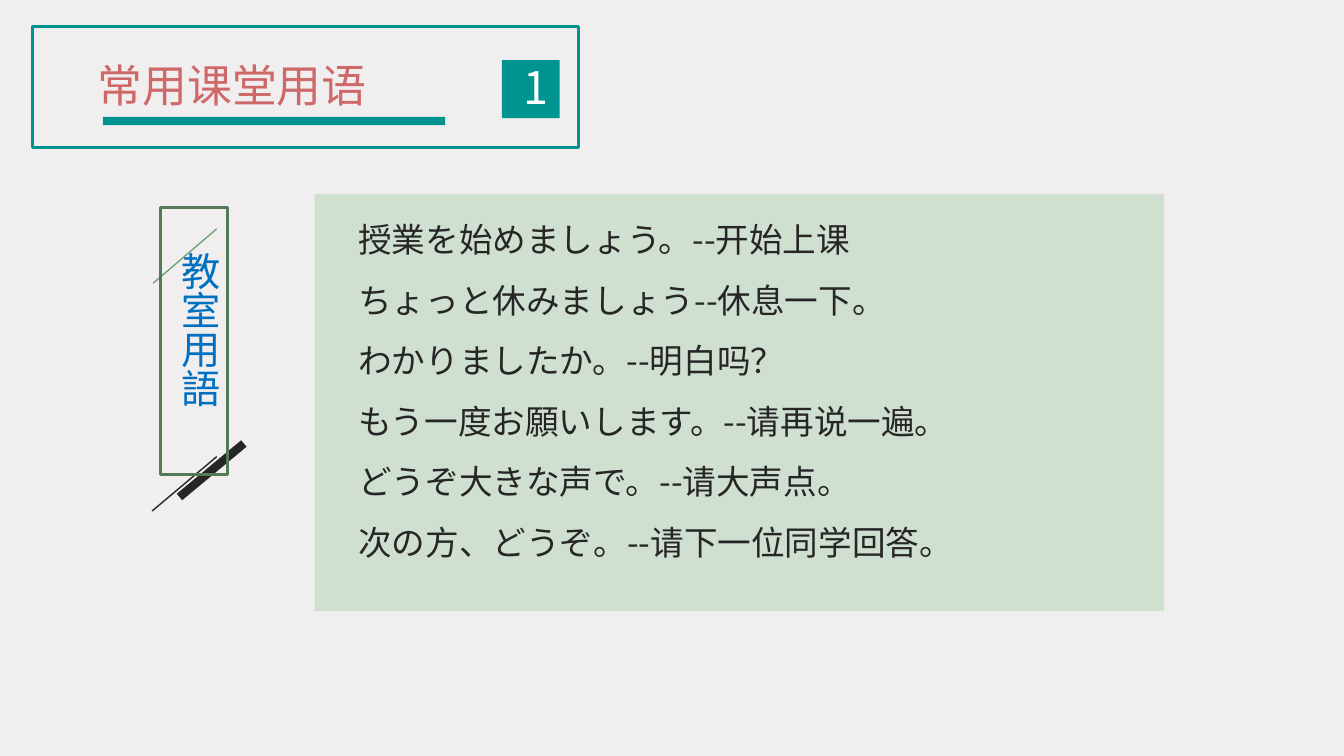
from lxml.etree import SubElement
from pptx import Presentation
from pptx.dml.color import RGBColor
from pptx.enum.shapes import MSO_CONNECTOR, MSO_SHAPE
from pptx.enum.text import MSO_ANCHOR, MSO_AUTO_SIZE, PP_ALIGN
from pptx.oxml.ns import qn
from pptx.util import Pt

PAPER = RGBColor(0xF0, 0xEE, 0xEF)
TEAL = RGBColor(0x00, 0x94, 0x91)
ROSE = RGBColor(0xCF, 0x68, 0x68)
MINT = RGBColor(0xD0, 0xE0, 0xD0)
LEAF = RGBColor(0x72, 0xA3, 0x76)
MOSS = RGBColor(0x54, 0x79, 0x57)
INK = RGBColor(0x26, 0x26, 0x26)
BLUE = RGBColor(0x00, 0x70, 0xC0)
WHITE = RGBColor(0xFF, 0xFF, 0xFF)

PHRASES = [
    ("授業を始めましょう。", "开始上课"),
    ("ちょっと休みましょう", "休息一下。"),
    ("わかりましたか。", "明白吗？"),
    ("もう一度お願いします。", "请再说一遍。"),
    ("どうぞ大きな声で。", "请大声点。"),
    ("次の方、どうぞ。", "请下一位同学回答。"),
]


class Lesson:
    """Draws styled elements on the current slide, with lengths in points."""

    font = "Noto Sans CJK SC"

    def __init__(self, slide):
        self.slide = slide
        slide.background.fill.solid()
        slide.background.fill.fore_color.rgb = PAPER

    def stroke(self, start, end, color, width):
        ends = [Pt(value) for value in (*start, *end)]
        stroke = self.slide.shapes.add_connector(MSO_CONNECTOR.STRAIGHT, *ends)
        stroke.line.color.rgb = color
        stroke.line.width = Pt(width)
        SubElement(stroke._element.spPr, qn("a:effectLst"))

    def block(self, box, fill=None, line=None, kind=MSO_SHAPE.RECTANGLE):
        block = self.slide.shapes.add_shape(kind, *map(Pt, box))
        block.shadow.inherit = False
        if kind == MSO_SHAPE.ROUNDED_RECTANGLE:
            block.adjustments[0] = 0
        if fill is None:
            block.fill.background()
        else:
            block.fill.solid()
            block.fill.fore_color.rgb = fill
        if line is None:
            block.line.fill.background()
        else:
            block.line.color.rgb = line
            block.line.width = Pt(2.25)
        return block

    def set_text(self, shape, text, size, color, align=PP_ALIGN.LEFT, spacing=1.0):
        frame = shape.text_frame
        frame.text = text
        frame.word_wrap = True
        frame.auto_size = MSO_AUTO_SIZE.NONE
        frame.vertical_anchor = MSO_ANCHOR.TOP
        for paragraph in frame.paragraphs:
            paragraph.alignment = align
            paragraph.line_spacing = spacing
            for run in paragraph.runs:
                run.font.size = Pt(size)
                run.font.name = self.font
                run.font.color.rgb = color
                SubElement(run.font._element, qn("a:ea"), typeface=self.font)
        return frame

    def title(self, box, text, size, color):
        title = self.slide.shapes.title
        title.left, title.top, title.width, title.height = map(Pt, box)
        self.set_text(title, text, size, color)

    def label(self, box, text, size, color):
        label = self.slide.shapes.add_textbox(*map(Pt, box))
        self.set_text(label, text, size, color, PP_ALIGN.CENTER)


presentation = Presentation()
presentation.slide_width, presentation.slide_height = Pt(960), Pt(540)
lesson = Lesson(presentation.slides.add_slide(presentation.slide_layouts[5]))

lesson.stroke((154.8, 163.5), (109.4, 202.3), LEAF, 1)
lesson.stroke((128.2, 355), (174.2, 316.8), INK, 6)
lesson.stroke((108.7, 365), (154.8, 326.2), INK, 1)

phrase_panel = lesson.block((224.8, 138.5, 606.7, 298), fill=MINT)
phrase_lines = "\n".join(f"{japanese}--{chinese}" for japanese, chinese in PHRASES)
phrase_text = lesson.set_text(phrase_panel, phrase_lines, 24, INK, spacing=1.5)
phrase_text.margin_left = Pt(31.2)

lesson.title((62.6, 37.4, 287.3, 46), "常用课堂用语", 32, ROSE)
lesson.block((73.5, 83.5, 244.5, 6), fill=TEAL)
lesson.block((23, 19, 390.3, 86.5), line=TEAL, kind=MSO_SHAPE.ROUNDED_RECTANGLE)
lesson.block((358.5, 43, 41.3, 41.3), fill=TEAL, kind=MSO_SHAPE.ROUNDED_RECTANGLE)
lesson.label((366.5, 38.9, 32, 46), "1", 32, WHITE)

topic_banner = lesson.block((114.5, 148.3, 48.2, 190.8), line=MOSS)
topic_text = lesson.set_text(topic_banner, "教室用語", 28, BLUE)
topic_text.margin_top = Pt(31.6)
topic_text._txBody.bodyPr.set("vert", "eaVert")

presentation.save("out.pptx")
